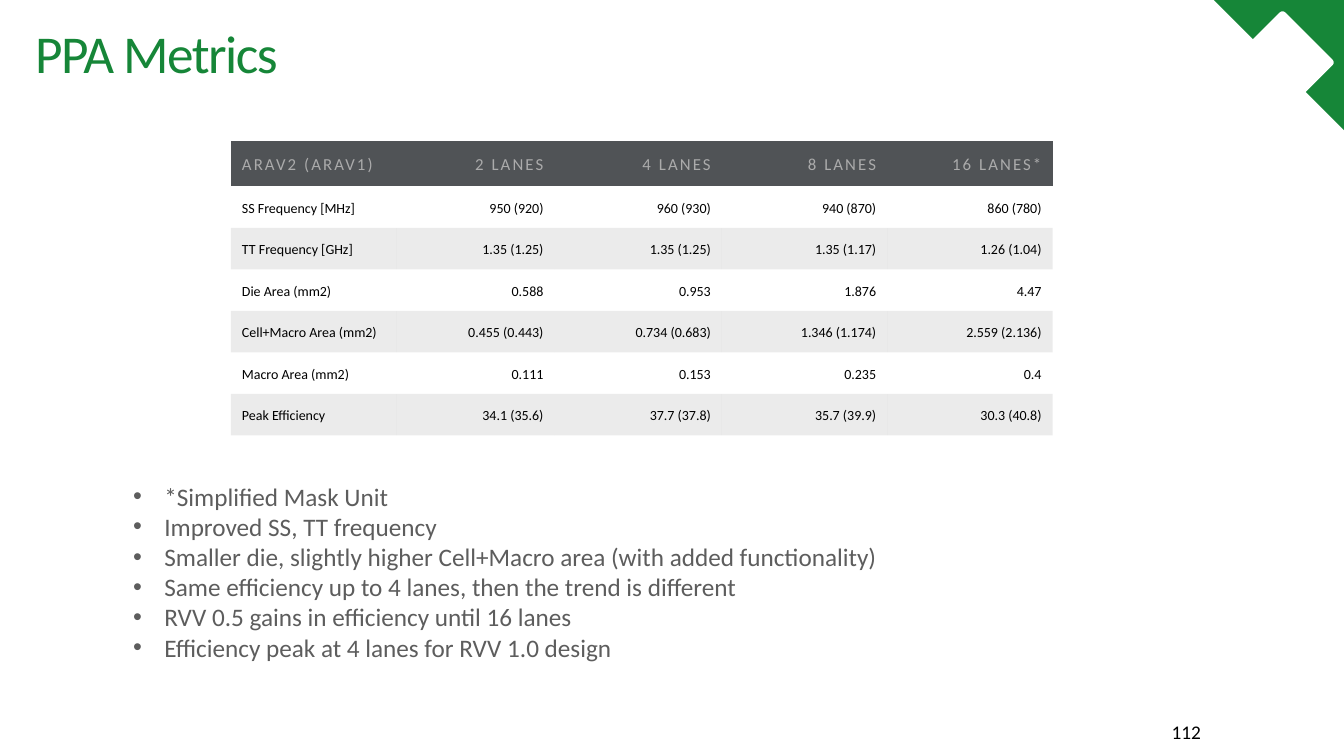
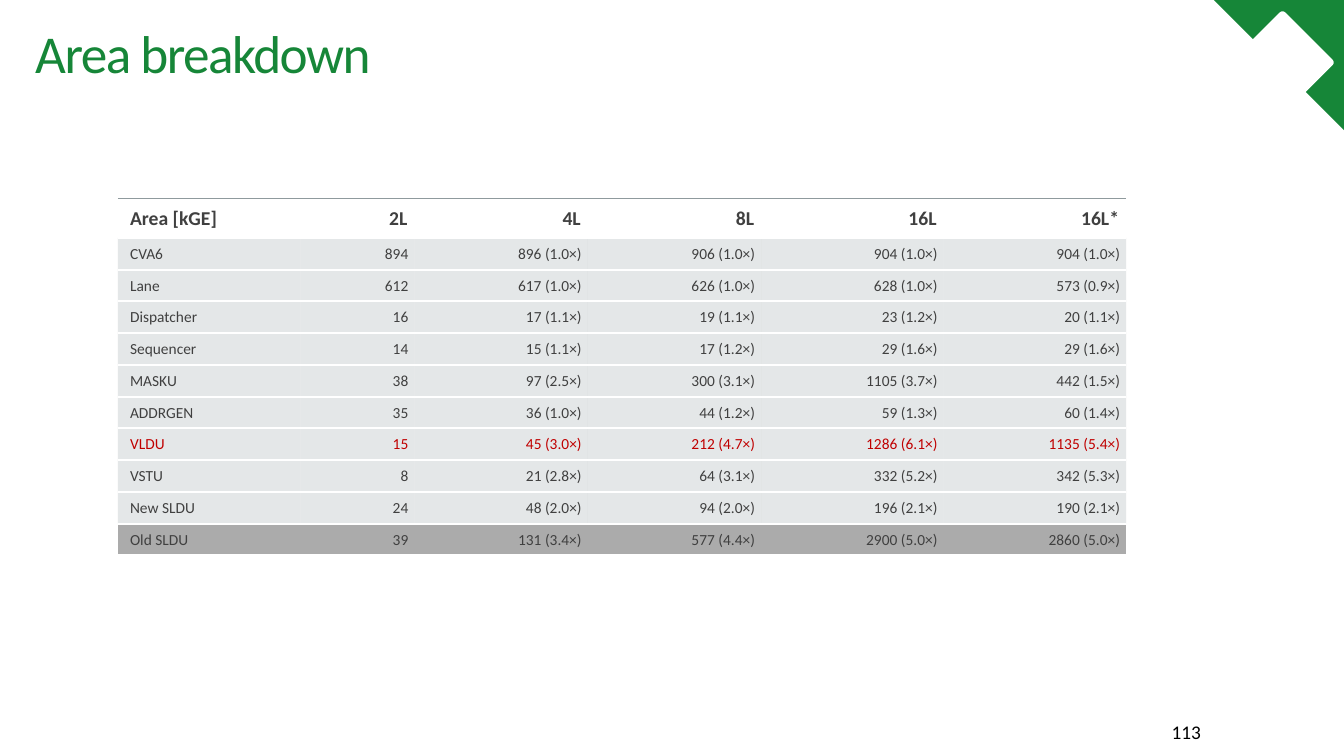
from dataclasses import dataclass

from lxml.etree import SubElement
from pptx import Presentation
from pptx.dml.color import RGBColor
from pptx.enum.shapes import MSO_SHAPE as Shape
from pptx.enum.text import MSO_ANCHOR as Anchor, PP_ALIGN as Align
from pptx.oxml import parse_xml
from pptx.oxml.ns import nsdecls, qn
from pptx.util import Inches, Pt


@dataclass(frozen=True)
class Theme:
    font: str = "Calibri"
    green: str = "168638"
    white: str = "FFFFFF"
    black: str = "000000"
    charcoal: str = "505356"
    silver: str = "ABABAB"
    mist: str = "B4BCBE"
    rule: str = "8F9A9D"
    ink: str = "404040"
    body: str = "5D5D5D"
    red: str = "C00000"
    title_size: float = 38
    body_size: float = 18
    number_size: float = 13.8
    plain_table_style: str = "{2D5ABB26-0587-4C30-8999-92F81FD0307C}"


@dataclass(frozen=True)
class RowStyle:
    size: float
    color: str
    fill: str = ""
    opacity: int = 100
    bold: bool = False
    tracking: int = 0
    left_margin: float = 0.11
    margin: float = 0.11
    borders: tuple = ()


theme = Theme()


def add_run(paragraph, text, size, color, bold=False, tracking=0):
    run = paragraph.add_run()
    run.text = text
    run.font.name = theme.font
    run.font.size = Pt(size)
    run.font.bold = bold
    run.font.color.rgb = RGBColor.from_string(color)
    if tracking:
        run.font._element.set("spc", str(tracking))


def add_text_box(slide, left, top, width, height, anchor, inset=0.0):
    box = slide.shapes.add_textbox(Inches(left), Inches(top), Inches(width), Inches(height))
    frame = box.text_frame
    frame.word_wrap = True
    frame.vertical_anchor = anchor
    frame.margin_left = frame.margin_right = Inches(inset)
    frame.margin_top = frame.margin_bottom = Inches(inset / 2)
    return frame


white_lines = (("lnT", theme.white, 100), ("lnB", theme.white, 100))
top_rule = (("lnT", theme.rule, 60), ("lnB", theme.white, 100))

metrics_header = RowStyle(12, theme.silver, theme.charcoal, tracking=150)
metrics_plain = RowStyle(10, theme.black)
metrics_band = RowStyle(10, theme.black, theme.mist and theme.black, opacity=8)

area_margins = {"left_margin": 0.12, "margin": 0.06, "borders": white_lines}
area_header = RowStyle(14, theme.ink, bold=True, left_margin=0.12, margin=0.07, borders=top_rule)
area_row = RowStyle(11, theme.ink, theme.mist, opacity=35, **area_margins)
area_alert = RowStyle(11, theme.red, theme.mist, opacity=35, **area_margins)
area_old = RowStyle(11, theme.ink, theme.silver, **area_margins)

metrics_rows = [
    (metrics_header, ["ARAV2 (ARAV1)", "2 LANES", "4 LANES", "8 LANES", "16 LANES*"]),
    (metrics_plain, ["SS Frequency [MHz]", "950 (920)", "960 (930)", "940 (870)", "860 (780)"]),
    (metrics_band, ["TT Frequency [GHz]", "1.35 (1.25)", "1.35 (1.25)", "1.35 (1.17)", "1.26 (1.04)"]),
    (metrics_plain, ["Die Area (mm2)", "0.588", "0.953", "1.876", "4.47"]),
    (metrics_band, ["Cell+Macro Area (mm2)", "0.455 (0.443)", "0.734 (0.683)", "1.346 (1.174)", "2.559 (2.136)"]),
    (metrics_plain, ["Macro Area (mm2)", "0.111", "0.153", "0.235", "0.4"]),
    (metrics_band, ["Peak Efficiency", "34.1 (35.6)", "37.7 (37.8)", "35.7 (39.9)", "30.3 (40.8)"]),
]
area_rows = [
    (area_header, ["Area [kGE]", "2L", "4L", "8L", "16L", "16L*"]),
    (area_row, ["CVA6", "894", "896 (1.0×)", "906 (1.0×)", "904 (1.0×)", "904 (1.0×)"]),
    (area_row, ["Lane", "612", "617 (1.0×)", "626 (1.0×)", "628 (1.0×)", "573 (0.9×)"]),
    (area_row, ["Dispatcher", "16", "17 (1.1×)", "19 (1.1×)", "23 (1.2×)", "20 (1.1×)"]),
    (area_row, ["Sequencer", "14", "15 (1.1×)", "17 (1.2×)", "29 (1.6×)", "29 (1.6×)"]),
    (area_row, ["MASKU", "38", "97 (2.5×)", "300 (3.1×)", "1105 (3.7×)", "442 (1.5×)"]),
    (area_row, ["ADDRGEN", "35", "36 (1.0×)", "44 (1.2×)", "59 (1.3×)", "60 (1.4×)"]),
    (area_alert, ["VLDU", "15", "45 (3.0×)", "212 (4.7×)", "1286 (6.1×)", "1135 (5.4×)"]),
    (area_row, ["VSTU", "8", "21 (2.8×)", "64 (3.1×)", "332 (5.2×)", "342 (5.3×)"]),
    (area_row, ["New SLDU", "24", "48 (2.0×)", "94 (2.0×)", "196 (2.1×)", "190 (2.1×)"]),
    (area_old, ["Old SLDU", "39", "131 (3.4×)", "577 (4.4×)", "2900 (5.0×)", "2860 (5.0×)"]),
]
findings = [
    "*Simplified Mask Unit",
    "Improved SS, TT frequency",
    "Smaller die, slightly higher Cell+Macro area (with added functionality)",
    "Same efficiency up to 4 lanes, then the trend is different",
    "RVV 0.5 gains in efficiency until 16 lanes",
    "Efficiency peak at 4 lanes for RVV 1.0 design",
]
pages = [
    {"title": "PPA Metrics", "number": "112", "rows": metrics_rows, "bullets": findings,
     "left": 2.29, "top": 1.4, "height": 2.92, "header_height": 0.45,
     "widths": [1.64, 1.57, 1.66, 1.64, 1.64]},
    {"title": "Area breakdown", "number": "113", "rows": area_rows, "bullets": [],
     "left": 1.17, "top": 1.97, "height": 3.54, "header_height": 0.39,
     "widths": [1.81, 1.13, 1.72, 1.72, 1.81, 1.81]},
]
corner_pieces = [
    (Shape.ISOSCELES_TRIANGLE, 12.04, 0, 1.3, 270, 1, theme.green),
    (Shape.ROUNDED_RECTANGLE, 12.12, 0.42, 0.41, 45, 0.05, theme.white),
    (Shape.ROUNDED_RECTANGLE, 12.35, 0.25, 0.74, 45, 0.05, theme.white),
]

presentation = Presentation()
presentation.slide_width = Inches(13.33)
presentation.slide_height = Inches(7.5)

for page in pages:
    slide = presentation.slides.add_slide(presentation.slide_layouts[6])

    for kind, left, top, side, rotation, adjustment, color in corner_pieces:
        piece = slide.shapes.add_shape(kind, Inches(left), Inches(top), Inches(side), Inches(side))
        piece.rotation = rotation
        piece.adjustments[0] = adjustment
        piece.shadow.inherit = False
        piece.fill.solid()
        piece.fill.fore_color.rgb = RGBColor.from_string(color)
        piece.line.fill.background()

    title = add_text_box(slide, 0.35, 0.2, 11.67, 0.72, Anchor.MIDDLE).paragraphs[0]
    title.line_spacing = 0.9
    add_run(title, page["title"], theme.title_size, theme.green, tracking=-110)

    number = add_text_box(slide, 11.36, 7.08, 0.65, 0.34, Anchor.BOTTOM, 0.1).paragraphs[0]
    number.alignment = Align.RIGHT
    add_run(number, page["number"], theme.number_size, theme.black)

    rows, widths = page["rows"], page["widths"]
    table = slide.shapes.add_table(
        len(rows), len(widths), Inches(page["left"]), Inches(page["top"]),
        Inches(sum(widths)), Inches(page["height"])).table
    table.first_row = table.horz_banding = False
    table._tbl.tblPr.find(qn("a:tableStyleId")).text = theme.plain_table_style
    for column, width in zip(table.columns, widths):
        column.width = Inches(width)
    body_height = (page["height"] - page["header_height"]) / (len(rows) - 1)

    for row_index, (style, values) in enumerate(rows):
        table.rows[row_index].height = Inches(body_height if row_index else page["header_height"])
        for column_index, value in enumerate(values):
            cell = table.cell(row_index, column_index)
            cell.vertical_anchor = Anchor.BOTTOM
            cell.margin_left = Inches(style.left_margin)
            cell.margin_right = cell.margin_top = cell.margin_bottom = Inches(style.margin)
            paragraph = cell.text_frame.paragraphs[0]
            paragraph.alignment = Align.RIGHT if column_index else Align.LEFT
            add_run(paragraph, value, style.size, style.color, style.bold, style.tracking)

            properties = cell._tc.get_or_add_tcPr()
            if style.fill:
                cell.fill.solid()
                cell.fill.fore_color.rgb = RGBColor.from_string(style.fill)
                if style.opacity < 100:
                    color = properties.find(".//" + qn("a:srgbClr"))
                    SubElement(color, qn("a:alpha")).set("val", str(style.opacity * 1000))
            else:
                cell.fill.background()
            for position, (edge, color, opacity) in enumerate(style.borders):
                properties.insert(position, parse_xml(
                    f'<a:{edge} {nsdecls("a")} w="{Pt(1.5)}"><a:solidFill><a:srgbClr val="{color}">'
                    f'<a:alpha val="{opacity * 1000}"/></a:srgbClr></a:solidFill></a:{edge}>'))

    if page["bullets"]:
        frame = add_text_box(slide, 1.32, 4.77, 10.11, 1.82, Anchor.TOP)
        for index, text in enumerate(page["bullets"]):
            paragraph = frame.add_paragraph() if index else frame.paragraphs[0]
            properties = paragraph._p.get_or_add_pPr()
            properties.set("marL", str(Inches(0.31)))
            properties.set("indent", str(-Inches(0.31)))
            SubElement(properties, qn("a:buFont")).set("typeface", "Arial")
            SubElement(properties, qn("a:buChar")).set("char", "•")
            add_run(paragraph, text, theme.body_size, theme.body)

presentation.save("out.pptx")
